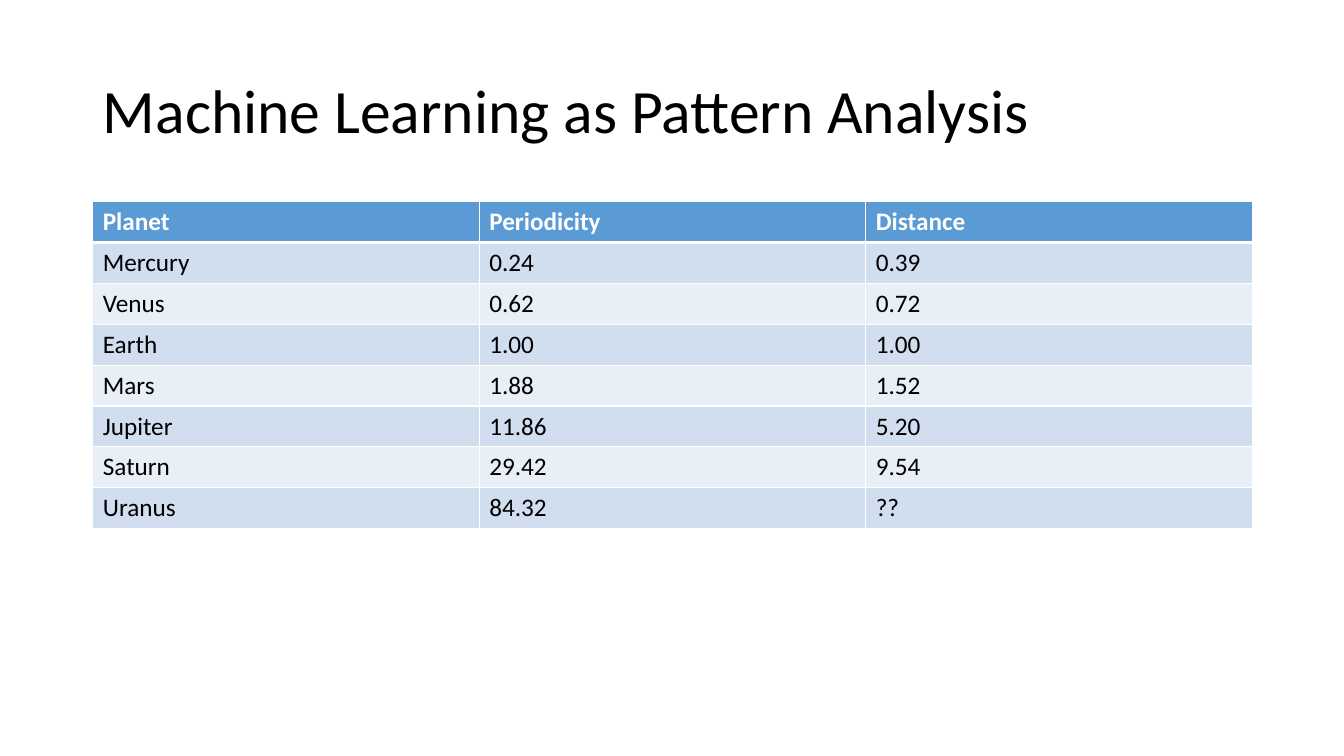
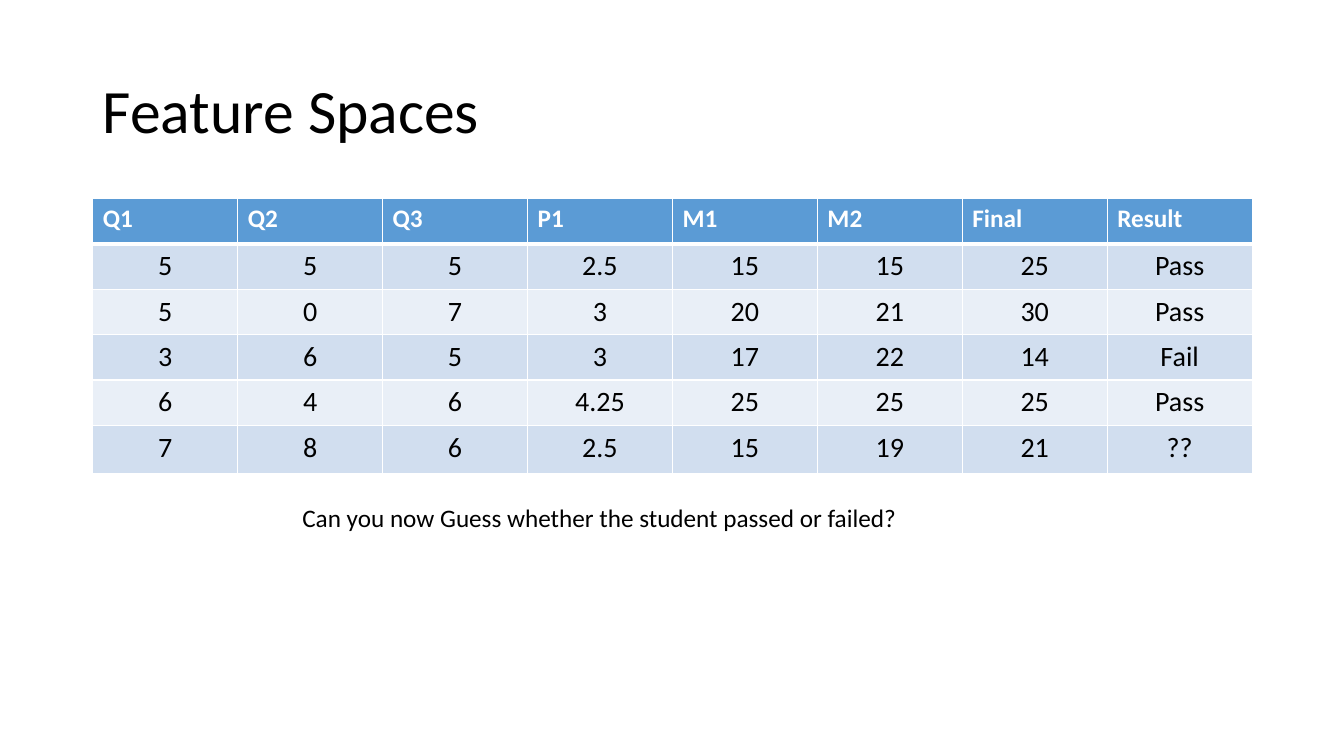
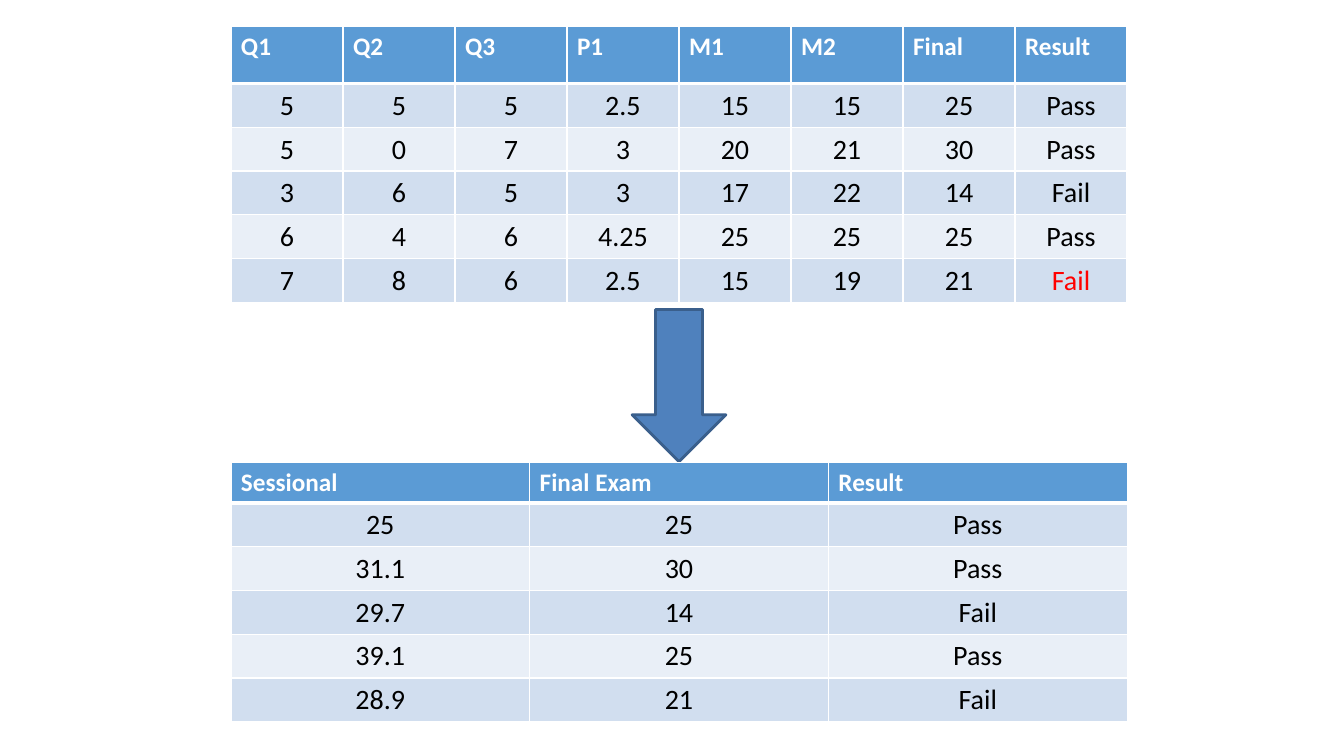
"""Build three slides of tables on pattern analysis and feature spaces."""
from lxml import etree
from pptx import Presentation
from pptx.dml.color import RGBColor
from pptx.enum.shapes import MSO_SHAPE as SHAPE
from pptx.enum.text import MSO_ANCHOR as ANCHOR, PP_ALIGN as ALIGN
from pptx.oxml.ns import qn
from pptx.util import Inches, Pt

FONT = "Calibri"
COLORS = {
    "text": "000000", "white": "FFFFFF", "header": "5B9BD5",
    "odd": "D1DEEF", "even": "E9EFF7", "fail": "FF0000",
    "arrow": "4F81BD", "arrow_line": "3A5F8C",
}
THIN, THICK = 0.96, 3

PLANETS = [
    ("Planet", "Periodicity", "Distance"),
    ("Mercury", "0.24", "0.39"),
    ("Venus", "0.62", "0.72"),
    ("Earth", "1.00", "1.00"),
    ("Mars", "1.88", "1.52"),
    ("Jupiter", "11.86", "5.20"),
    ("Saturn", "29.42", "9.54"),
    ("Uranus", "84.32", "??"),
]
MARKS = [
    ("Q1", "Q2", "Q3", "P1", "M1", "M2", "Final", "Result"),
    ("5", "5", "5", "2.5", "15", "15", "25", "Pass"),
    ("5", "0", "7", "3", "20", "21", "30", "Pass"),
    ("3", "6", "5", "3", "17", "22", "14", "Fail"),
    ("6", "4", "6", "4.25", "25", "25", "25", "Pass"),
    ("7", "8", "6", "2.5", "15", "19", "21"),
]
SUMMARY = [
    ("Sessional", "Final Exam", "Result"),
    ("25", "25", "Pass"),
    ("31.1", "30", "Pass"),
    ("29.7", "14", "Fail"),
    ("39.1", "25", "Pass"),
    ("28.9", "21", "Fail"),
]
QUESTION = "Can you now Guess whether the student passed or failed?"


def rgb(name):
    return RGBColor.from_string(COLORS[name])


def style(p, size, color="text", bold=False):
    font = p.runs[0].font
    font.name, font.size, font.bold = FONT, Pt(size), bold
    font.color.rgb = rgb(color)


def marks_with(result):
    return MARKS[:-1] + [MARKS[-1] + (result,)]


def add_title_slide(prs, title):
    s = prs.slides.add_slide(prs.slide_layouts[5])
    sp = s.shapes.title
    sp.left, sp.top, sp.width, sp.height = map(Inches, (0.92, 0.4, 11.5, 1.45))
    tf = sp.text_frame
    tf.text = title
    tf.vertical_anchor = ANCHOR.MIDDLE
    p = tf.paragraphs[0]
    p.alignment, p.line_spacing = ALIGN.LEFT, 0.9
    style(p, 44)
    return s


def set_borders(cell, row):
    tc_pr = cell._tc.get_or_add_tcPr()
    widths = {"L": THIN, "R": THIN, "T": THICK if row == 1 else THIN,
              "B": THICK if row == 0 else THIN}
    for i, (side, width) in enumerate(widths.items()):
        ln = etree.Element(qn(f"a:ln{side}"), w=str(Pt(width)))
        fill = etree.SubElement(ln, qn("a:solidFill"))
        etree.SubElement(fill, qn("a:srgbClr"), val=COLORS["white"])
        tc_pr.insert(i, ln)


def add_grid(s, rows, left, top, width, heights, centered=True):
    frame = s.shapes.add_table(len(rows), len(rows[0]), Inches(left), Inches(top),
                               Inches(width), Inches(sum(heights)))
    table = frame.table
    for row, height in zip(table.rows, heights):
        row.height = Inches(height)
    for r, values in enumerate(rows):
        band = "header" if r == 0 else "odd" if r % 2 else "even"
        for c, value in enumerate(values):
            cell = table.cell(r, c)
            cell.text = value
            p = cell.text_frame.paragraphs[0]
            if r == 0:
                style(p, 18, "white", True)
            elif centered:
                cell.margin_left = cell.margin_right = Inches(0.01)
                p.alignment = ALIGN.CENTER
                style(p, 20)
            else:
                style(p, 18)
            cell.fill.solid()
            cell.fill.fore_color.rgb = rgb(band)
            set_borders(cell, r)
    return table


def add_question(s):
    tf = s.shapes.add_textbox(*map(Inches, (2.9, 4.93, 7.19, 0.7))).text_frame
    tf.word_wrap = True
    tf.text = QUESTION
    style(tf.paragraphs[0], 18)


def add_arrow(s):
    sp = s.shapes.add_shape(SHAPE.DOWN_ARROW, *map(Inches, (6.27, 3.07, 0.93, 1.51)))
    sp.shadow.inherit = False
    sp.fill.solid()
    sp.fill.fore_color.rgb = rgb("arrow")
    sp.line.color.rgb = rgb("arrow_line")
    sp.line.width = Pt(2)


def main():
    prs = Presentation()
    prs.slide_width, prs.slide_height = Inches(13.33), Inches(7.5)

    s = add_title_slide(prs, "Machine Learning as Pattern Analysis")
    add_grid(s, PLANETS, 0.92, 2, 11.5, [0.405] * 8, centered=False)

    s = add_title_slide(prs, "Feature Spaces")
    add_grid(s, marks_with("??"), 0.92, 1.97, 11.5, [0.45] * 5 + [0.48])
    add_question(s)

    s = prs.slides.add_slide(prs.slide_layouts[6])
    table = add_grid(s, marks_with("Fail"), 2.29, 0.26, 8.89, [0.57] + [0.4] * 4 + [0.42])
    style(table.cell(5, 7).text_frame.paragraphs[0], 20, "fail")
    add_arrow(s)
    add_grid(s, SUMMARY, 2.29, 4.59, 8.89, [0.4] + [0.41] * 5)

    prs.save("out.pptx")


if __name__ == "__main__":
    main()
